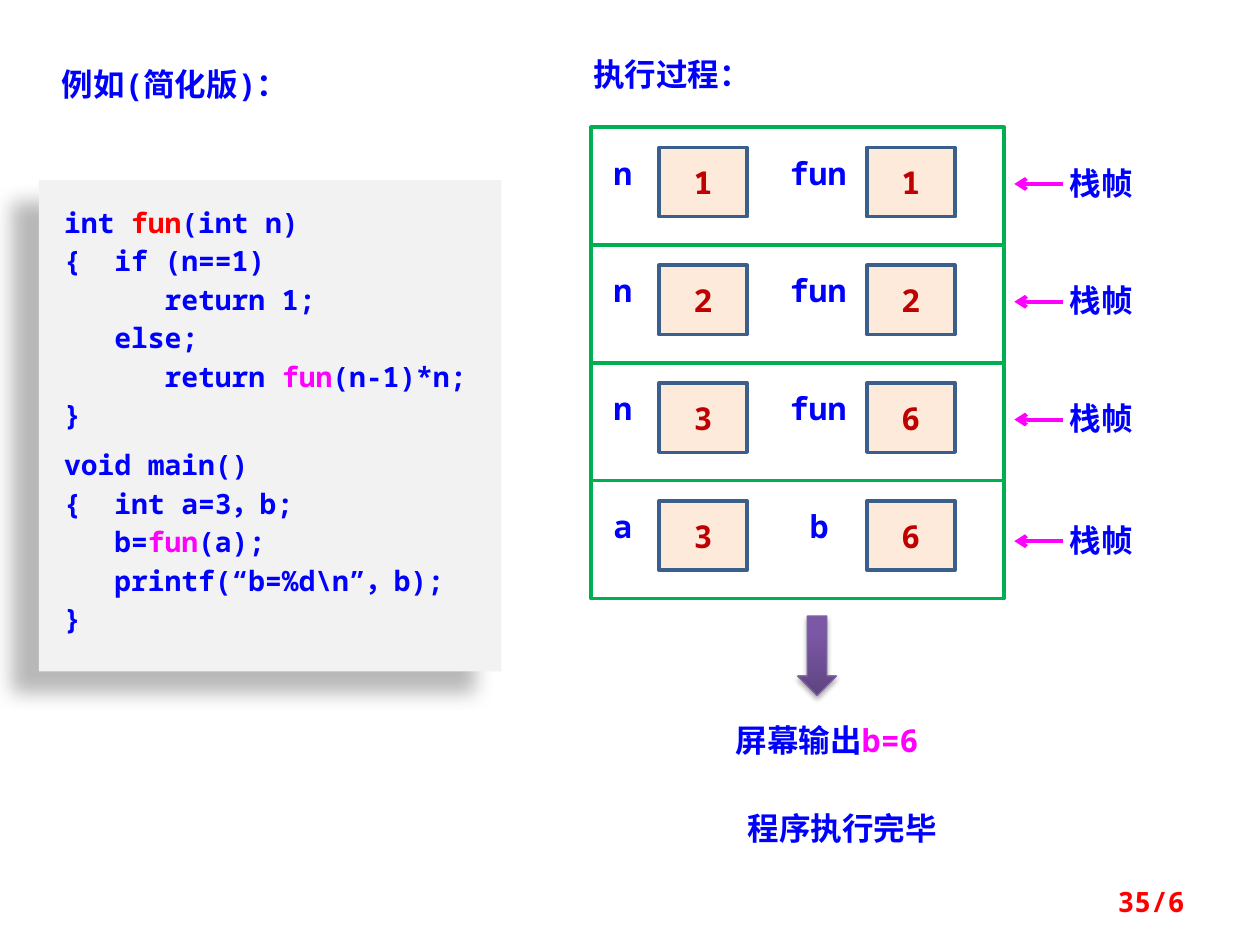
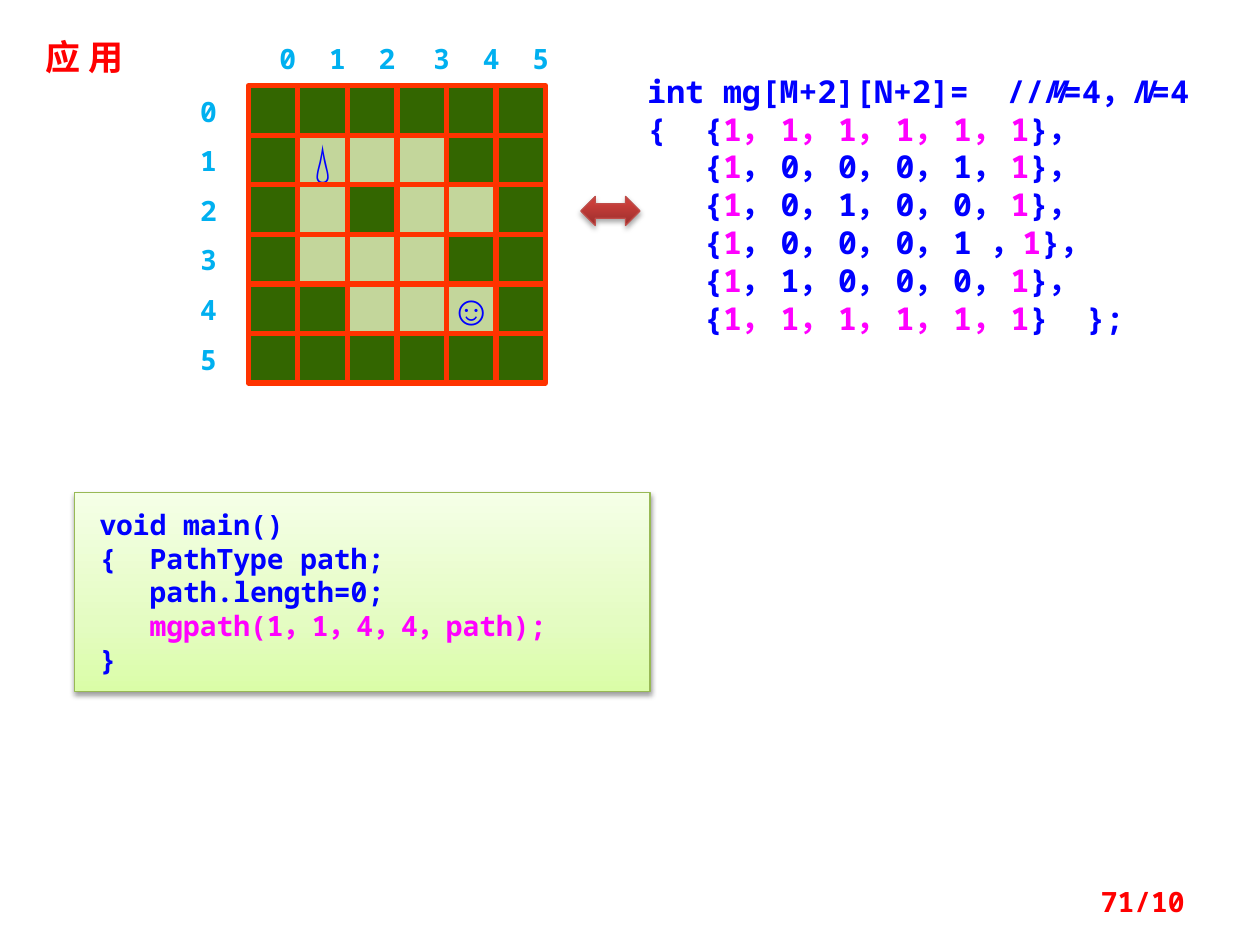
from dataclasses import dataclass

from lxml import etree
from pptx import Presentation
from pptx.dml.color import RGBColor
from pptx.enum.shapes import MSO_CONNECTOR, MSO_SHAPE
from pptx.enum.text import MSO_ANCHOR, PP_ALIGN
from pptx.oxml.ns import qn
from pptx.util import Inches, Pt

RECTANGLE, DOWN_ARROW = MSO_SHAPE.RECTANGLE, MSO_SHAPE.DOWN_ARROW
DOUBLE_ARROW = MSO_SHAPE.LEFT_RIGHT_ARROW
STRAIGHT = MSO_CONNECTOR.STRAIGHT
TOP, MIDDLE = MSO_ANCHOR.TOP, MSO_ANCHOR.MIDDLE
LEFT, CENTER, RIGHT = PP_ALIGN.LEFT, PP_ALIGN.CENTER, PP_ALIGN.RIGHT


@dataclass(frozen=True)
class Theme:
    blue: str = "0000FF"
    red: str = "FF0000"
    pink: str = "FF00FF"
    sky: str = "00B0F0"
    value: str = "C00000"
    value_fill: str = "FDEADA"
    value_line: str = "3A5F8C"
    frame_line: str = "00B050"
    white: str = "FFFFFF"
    panel: str = "F2F2F2"
    wall: str = "336600"
    floor: str = "C3D69B"
    grid_line: str = "FF3300"
    mono: str = "Noto Sans Mono"
    cjk: str = "Noto Sans CJK SC"
    symbol: str = "Times New Roman"
    code_size: int = 16
    body_size: int = 18
    title_size: int = 20
    symbol_size: int = 24


THEME = Theme()
PINK, RED = THEME.pink, THEME.red

# Gradients run from bottom to top: (percent, colour)
PURPLE = [(0, "5F4480"), (80, "7B58A6"), (100, "7C57A8")]
CRIMSON = [(0, "9C2F2D"), (80, "CB3E3A"), (100, "CE3B37")]
LIME = [(0, "DAFDA7"), (35, "E4FCC2"), (100, "F5FFE7")]
# Shadows: opacity percent, blur, distance, direction
PANEL_SHADOW = (28, 11.8, 19.7, 141)
ARROW_SHADOW = (35, 3.1, 1.8, 90)
BOX_SHADOW = (38, 3.1, 1.6, 90)

# A line is a tuple of runs; a run is plain text or (text, colour)
FACTORIAL_CODE = [
    ("int ", ("fun", RED), "(int n)"),
    ("{  if (n==1)",),
    ("      return 1;",),
    ("   else;",),
    ("      return ", ("fun", PINK), "(n-1)*n;"),
    ("}",),
    ("void main()",),
    ("{  int a=3，b;",),
    ("   b=", ("fun", PINK), "(a);"),
    ("   printf(“b=%d\\n”，b);",),
    ("}",),
]
MAIN_LINE = 6

# name, value, name, value, left of second name, drop of the tag
STACK_FRAMES = [
    ("n", 1, "fun", 1, 6.17, 0),
    ("n", 2, "fun", 2, 6.17, 0),
    ("n", 3, "fun", 6, 6.17, 0),
    ("a", 3, "b", 6, 6.33, 0.03),
]
STACK_LEFT, STACK_TOP, STACK_WIDTH, STACK_HEIGHT = 4.69, 1.01, 3.28, 3.74

MAZE = ["111111", "100011", "101001", "100011", "110001", "111111"]
MAZE_SYMBOLS = {(1, 1): "💧", (4, 4): "☺"}
MAZE_LEFT, MAZE_TOP, MAZE_SIZE = 1.97, 0.68, 2.36
MATRIX_HEAD = ("int mg[M+2][N+2]=  //", ("M", None, True), "=4，", ("N", None, True), "=4")
LAST_COMMA = {3: " ，"}

PATH_CODE = [
    ("void main()",),
    ("{  PathType path;",),
    ("   path.length=0;",),
    (("   mgpath(1，1，4，4，path);", PINK),),
    ("}",),
]


def style_run(run, colour, size, latin, asian, italic):
    font = run.font
    for name, value in {"size": Pt(size), "name": latin, "bold": True, "italic": italic}.items():
        setattr(font, name, value)
    font.color.rgb = RGBColor.from_string(colour)
    properties = run._r.get_or_add_rPr()
    etree.SubElement(properties, qn("a:ea"), typeface=asian)


def write(shape, lines, colour=THEME.blue, size=THEME.body_size, align=LEFT, anchor=TOP,
          latin=THEME.mono, asian=THEME.cjk, wrap=True, insets=None, spacing=None):
    """Fill the shape with lines of runs; spacing gives the line spacing by line index."""
    frame = shape.text_frame
    frame.word_wrap, frame.vertical_anchor = wrap, anchor
    if insets:
        for side, inset in zip(("left", "top", "right", "bottom"), insets):
            setattr(frame, f"margin_{side}", Inches(inset))
    for index, runs in enumerate(lines):
        paragraph = frame.paragraphs[0] if index == 0 else frame.add_paragraph()
        paragraph.alignment = align
        if spacing:
            paragraph.line_spacing = spacing(index)
        for part in runs:
            text, shade, italic = ((part,) if isinstance(part, str) else part) + (None, False)[
                (0 if isinstance(part, str) else len(part) - 1):]
            run = paragraph.add_run()
            run.text = text
            style_run(run, shade or colour, size, latin, asian, italic)


def add_text(slide, box, *runs, **style):
    shape = slide.shapes.add_textbox(*map(Inches, box))
    write(shape, [runs], **style)


def set_gradient(shape, stops):
    shape.fill.gradient()
    shape.fill.gradient_angle = 90
    stop_list = shape._element.spPr.find(qn("a:gradFill")).find(qn("a:gsLst"))
    for stop in list(stop_list):
        stop_list.remove(stop)
    for percent, colour in stops:
        stop = etree.SubElement(stop_list, qn("a:gs"), pos=str(percent * 1000))
        etree.SubElement(stop, qn("a:srgbClr"), val=colour)


def set_shadow(shape, opacity, blur, distance, direction):
    effects = shape._element.spPr.find(qn("a:effectLst"))
    shadow = etree.SubElement(
        effects, qn("a:outerShdw"), blurRad=str(Pt(blur)), dist=str(Pt(distance)),
        dir=str(direction * 60000), algn="ctr", rotWithShape="0")
    colour = etree.SubElement(shadow, qn("a:srgbClr"), val="000000")
    etree.SubElement(colour, qn("a:alpha"), val=str(opacity * 1000))


def add_box(slide, box, fill, line=None, width=2, kind=RECTANGLE, shadow=None):
    """Add a preset shape; fill is a colour or a list of gradient stops."""
    shape = slide.shapes.add_shape(kind, *map(Inches, box))
    shape.shadow.inherit = False
    if isinstance(fill, str):
        shape.fill.solid()
        shape.fill.fore_color.rgb = RGBColor.from_string(fill)
    else:
        set_gradient(shape, fill)
    if line:
        shape.line.color.rgb = RGBColor.from_string(line)
        shape.line.width = Pt(width)
    else:
        shape.line.fill.background()
    if shadow:
        set_shadow(shape, *shadow)
    return shape


def add_pointer(slide, start, end, y):
    line = slide.shapes.add_connector(STRAIGHT, *map(Inches, (start, y, end, y)))
    line.line.color.rgb = RGBColor.from_string(PINK)
    line.line.width = Pt(2.25)
    etree.SubElement(line.line._get_or_add_ln(), qn("a:tailEnd"), type="arrow")
    etree.SubElement(line._element.spPr, qn("a:effectLst"))


def add_slide(presentation, page):
    slide = presentation.slides.add_slide(presentation.slide_layouts[6])
    add_text(slide, (7.17, 6.95, 2.33, 0.4), page, colour=RED, size=THEME.code_size,
             align=RIGHT, anchor=MIDDLE)
    return slide


def add_stack_frame(slide, row, frame):
    first, first_value, second, second_value, second_left, drop = frame
    height = STACK_HEIGHT / len(STACK_FRAMES)
    top = STACK_TOP + row * height
    add_box(slide, (STACK_LEFT, top, STACK_WIDTH, height), THEME.white, THEME.frame_line)
    inner = top + 0.16
    add_text(slide, (4.77, inner, 0.39, 0.4), first)
    add_text(slide, (second_left, inner, 0.78, 0.4), second)
    for left, value in ((5.23, first_value), (6.88, second_value)):
        cell = add_box(slide, (left, inner, 0.7, 0.55), THEME.value_fill, THEME.value_line)
        write(cell, [(str(value),)], colour=THEME.value, align=CENTER, anchor=MIDDLE)
    add_text(slide, (8.39, top + 0.24 + drop, 1.02, 0.4), "栈帧", latin=THEME.cjk)
    add_pointer(slide, 8.44, 8.05, top + 0.45 + drop)


def build_recursion_slide(presentation):
    slide = add_slide(presentation, "35/6")
    add_text(slide, (0.39, 0.47, 2.5, 0.4), "例如(简化版)：")
    add_text(slide, (4.61, 0.39, 2.11, 0.4), "执行过程：")
    panel = add_box(slide, (0.31, 1.43, 3.67, 3.9), THEME.panel, shadow=PANEL_SHADOW)
    write(panel, FACTORIAL_CODE, size=THEME.code_size, insets=(0.2, 0.16, 0.1, 0.2),
          spacing=lambda index: 1.5 if index == MAIN_LINE else Pt(22))
    for row, frame in reversed(list(enumerate(STACK_FRAMES))):
        add_stack_frame(slide, row, frame)
    add_box(slide, (6.33, 4.89, 0.31, 0.63), PURPLE, "7D60A0", 0.75, DOWN_ARROW, ARROW_SHADOW)
    add_text(slide, (5.47, 5.67, 2.19, 0.4), "屏幕输出", ("b=6", PINK), align=CENTER)
    add_text(slide, (5.55, 6.37, 2.27, 0.4), "程序执行完毕", align=CENTER)


def matrix_code():
    """Write the maze as a C array, with the outer wall in pink."""
    lines, last = [MATRIX_HEAD], len(MAZE) - 1
    for row, cells in enumerate(MAZE):
        start = "{  {" if row == 0 else "   {"
        end = "}  };" if row == last else "}，"
        if row in (0, last):
            lines.append((start, ("， ".join(cells), PINK), end))
        else:
            middle = "， " + "， ".join(cells[1:-1]) + LAST_COMMA.get(row, "， ")
            lines.append((start, (cells[0], PINK), middle, (cells[-1], PINK), end))
    return lines


def add_maze(slide):
    cell = MAZE_SIZE / len(MAZE)
    label = {"colour": THEME.sky, "size": THEME.code_size, "align": CENTER}
    for row, cells in enumerate(MAZE):
        step = row * cell
        column_left = MAZE_LEFT + step + (0.08 if row < 3 else 0.12)
        add_text(slide, (column_left, 0.28, 0.47, 0.37), str(row), **label)
        add_text(slide, (1.42, MAZE_TOP + step + 0.02, 0.47, 0.37), str(row), **label)
        for column, mark in enumerate(cells):
            fill = THEME.wall if mark == "1" else THEME.floor
            square = add_box(slide, (MAZE_LEFT + column * cell, MAZE_TOP + step, cell, cell),
                             fill, THEME.grid_line, 3)
            if (row, column) in MAZE_SYMBOLS:
                write(square, [(MAZE_SYMBOLS[row, column],)], size=THEME.symbol_size,
                      align=CENTER, anchor=MIDDLE, latin=THEME.symbol, asian=THEME.symbol,
                      wrap=False)


def build_maze_slide(presentation):
    slide = add_slide(presentation, "71/10")
    add_text(slide, (0.16, 0.23, 1.02, 0.44), "应 用", colour=RED, size=THEME.title_size,
             align=CENTER, latin=THEME.cjk)
    add_maze(slide)
    add_box(slide, (4.61, 1.56, 0.47, 0.23), CRIMSON, "BF4C48", 0.75, DOUBLE_ARROW, ARROW_SHADOW)
    matrix = slide.shapes.add_textbox(*map(Inches, (5.04, 0.52, 4.96, 2.22)))
    write(matrix, matrix_code())
    panel = add_box(slide, (0.59, 3.91, 4.57, 1.58), LIME, "98B955", 0.75, shadow=BOX_SHADOW)
    write(panel, PATH_CODE, size=THEME.code_size, insets=(0.2, 0.12, 0.1, 0.12))


def main():
    presentation = Presentation()
    presentation.slide_width, presentation.slide_height = Inches(10), Inches(7.5)
    build_recursion_slide(presentation)
    build_maze_slide(presentation)
    presentation.save("out.pptx")


if __name__ == "__main__":
    main()
